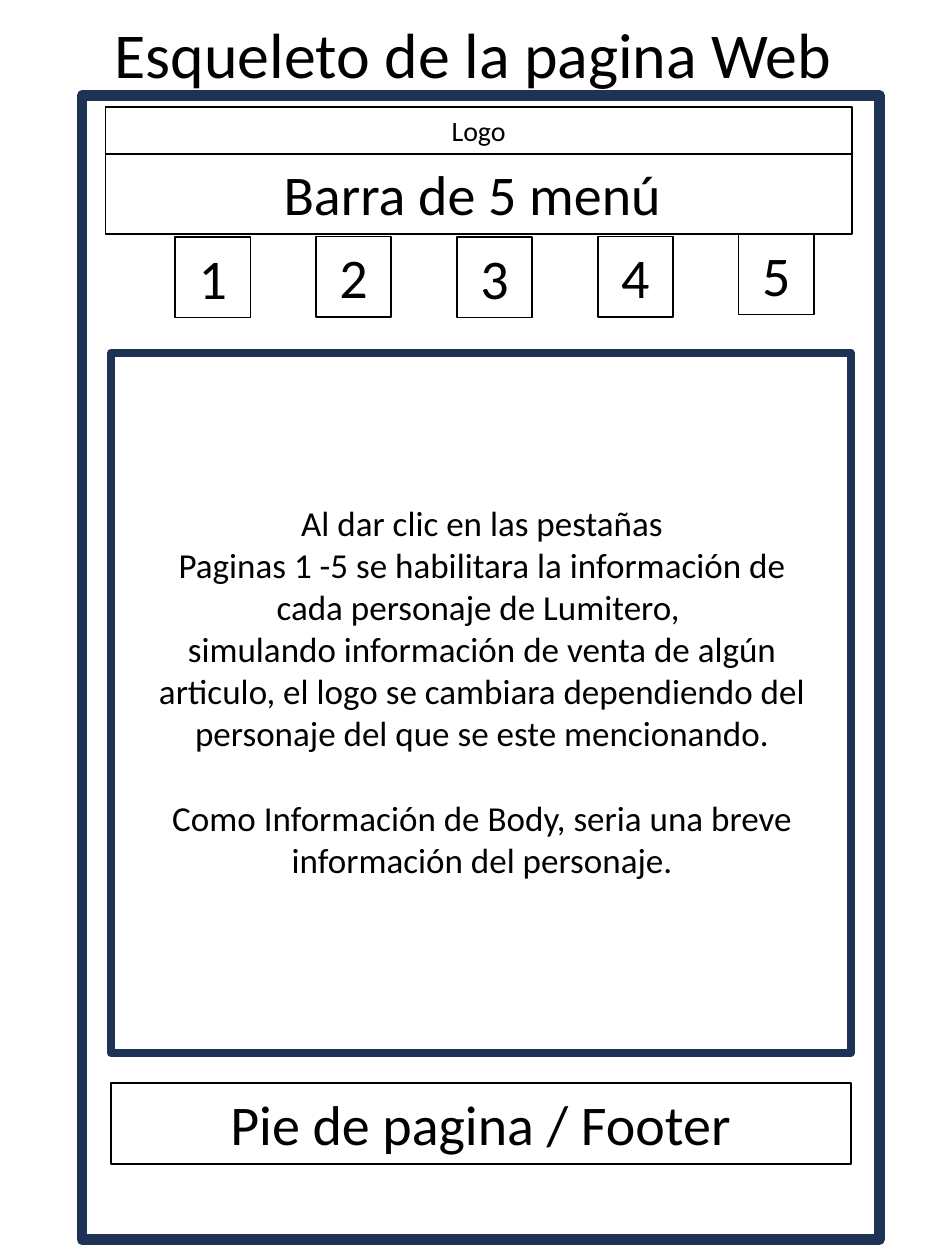
from pptx import Presentation
from pptx.dml.color import RGBColor
from pptx.enum.shapes import MSO_SHAPE
from pptx.enum.text import MSO_ANCHOR, MSO_AUTO_SIZE, PP_ALIGN
from pptx.util import Cm, Pt

COLORS = {"text": "000000", "border": "000000", "frame": "1E3256"}
FONT = "Calibri"

PAGE_TITLE = "Esqueleto de la pagina Web"
TITLE_BOX = (1.32, 0.41, 16.43, 1.52)

FRAMES = [
    {"box": (1.65, 1.93, 16.08, 23.06), "weight": 6},
    {"box": (2.24, 7.11, 14.91, 14.12), "weight": 4.5},
]
BARS = [
    {"label": "Pie de pagina / Footer", "box": (2.24, 21.84, 14.91, 1.62), "size": 32},
    {"label": "Barra de 5 menú ", "box": (2.13, 3.1, 15.04, 1.62), "size": 32},
    {"label": "Logo", "box": (2.13, 2.16, 15.04, 0.94), "size": 16},
]
TAB_TOPS = {"1": 4.78, "2": 4.77, "3": 4.78, "4": 4.77, "5": 4.72}
TAB_LEFT, TAB_PITCH, TAB_WIDTH, TAB_HEIGHT = 3.53, 2.84, 1.52, 1.62

BODY_BOX = (2.72, 9.98, 14, 7.95)
BODY = [
    ("Al dar clic en las pestañas", 0),
    ("Paginas 1 -5 se habilitara la información de cada personaje de Lumitero, ", 0),
    ("simulando información de venta de algún articulo, el logo se cambiara "
     "dependiendo del personaje del que se este mencionando.", 0),
    ("Como Información de Body, seria una breve información del personaje.", 24.4),
]


def write(shape, text, size=20, before=0, spacing=1.0, first=True):
    frame = shape.text_frame
    frame.word_wrap = True
    paragraph = frame.paragraphs[0] if first else frame.add_paragraph()
    paragraph.alignment = PP_ALIGN.CENTER
    paragraph.space_before = Pt(before)
    paragraph.line_spacing = spacing
    run = paragraph.add_run()
    run.text = text
    run.font.name = FONT
    run.font.size = Pt(size)
    run.font.color.rgb = RGBColor.from_string(COLORS["text"])


def outline(slide, box, color, weight):
    rectangle = slide.shapes.add_shape(MSO_SHAPE.RECTANGLE, *map(Cm, box))
    rectangle.shadow.inherit = False
    rectangle.fill.background()
    rectangle.line.color.rgb = RGBColor.from_string(COLORS[color])
    rectangle.line.width = Pt(weight)
    return rectangle


def main():
    """Build the web page wireframe slide."""
    deck = Presentation()
    deck.slide_width, deck.slide_height = Cm(19.05), Cm(25.4)
    slide = deck.slides.add_slide(deck.slide_layouts[5])

    heading = slide.shapes.title
    heading.left, heading.top, heading.width, heading.height = map(Cm, TITLE_BOX)
    heading.text_frame.vertical_anchor = MSO_ANCHOR.MIDDLE
    heading.text_frame.auto_size = MSO_AUTO_SIZE.NONE
    write(heading, PAGE_TITLE, size=36.5, spacing=0.9)

    page_frame, content_frame = FRAMES
    outline(slide, page_frame["box"], "frame", page_frame["weight"])

    tabs = [
        {"label": label, "size": 32,
         "box": (TAB_LEFT + index * TAB_PITCH, top, TAB_WIDTH, TAB_HEIGHT)}
        for index, (label, top) in enumerate(TAB_TOPS.items())
    ]
    footer, menu, logo = BARS
    for section in [footer, menu, *tabs, logo]:
        block = outline(slide, section["box"], "border", 1)
        block.text_frame.vertical_anchor = MSO_ANCHOR.TOP
        block.text_frame.auto_size = MSO_AUTO_SIZE.SHAPE_TO_FIT_TEXT
        write(block, section["label"], size=section["size"])

    outline(slide, content_frame["box"], "frame", content_frame["weight"])
    body = slide.shapes.add_textbox(*map(Cm, BODY_BOX))
    body.text_frame.auto_size = MSO_AUTO_SIZE.SHAPE_TO_FIT_TEXT
    for index, (sentence, gap) in enumerate(BODY):
        write(body, sentence, size=20, before=gap, first=index == 0)

    deck.save("out.pptx")


if __name__ == "__main__":
    main()
